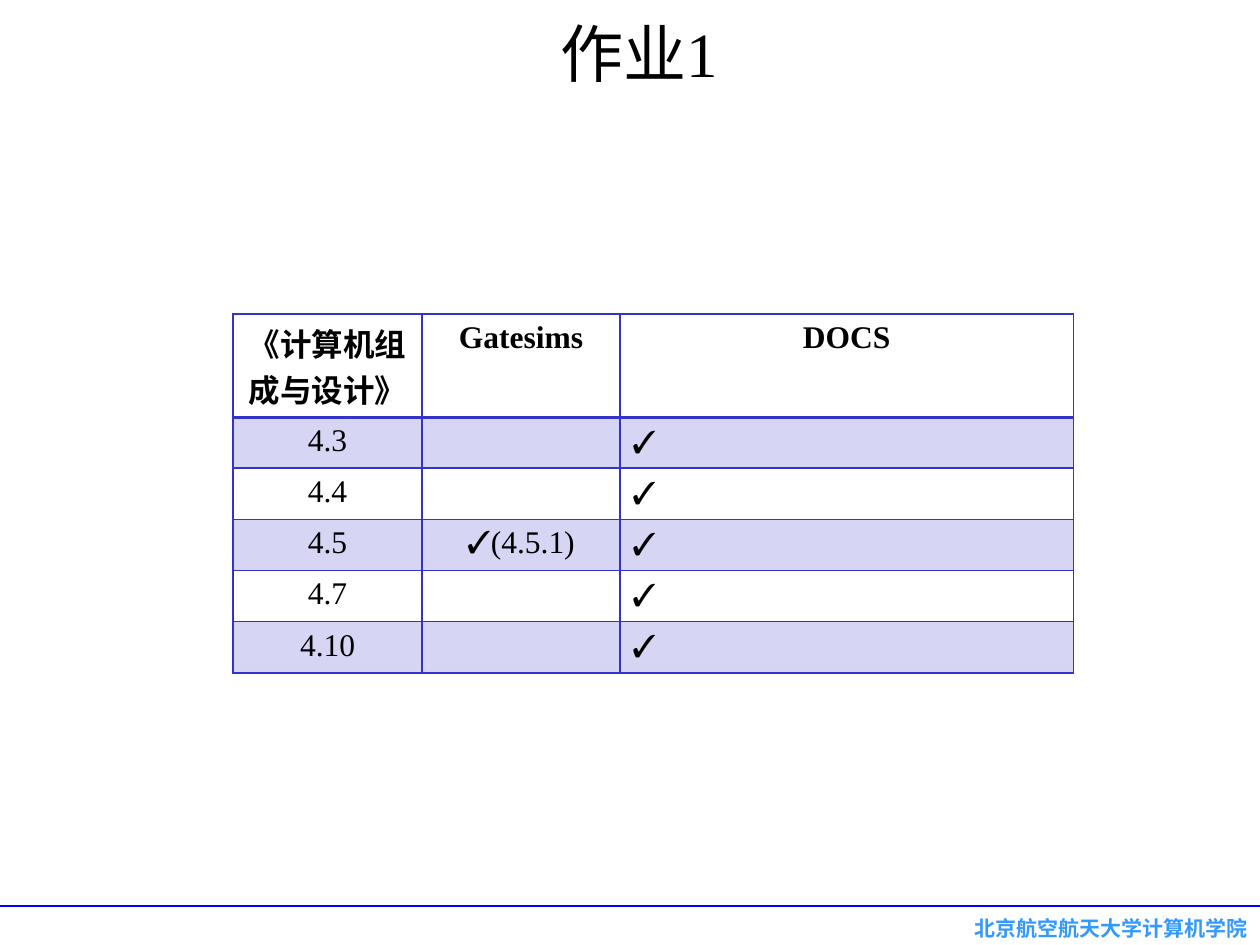
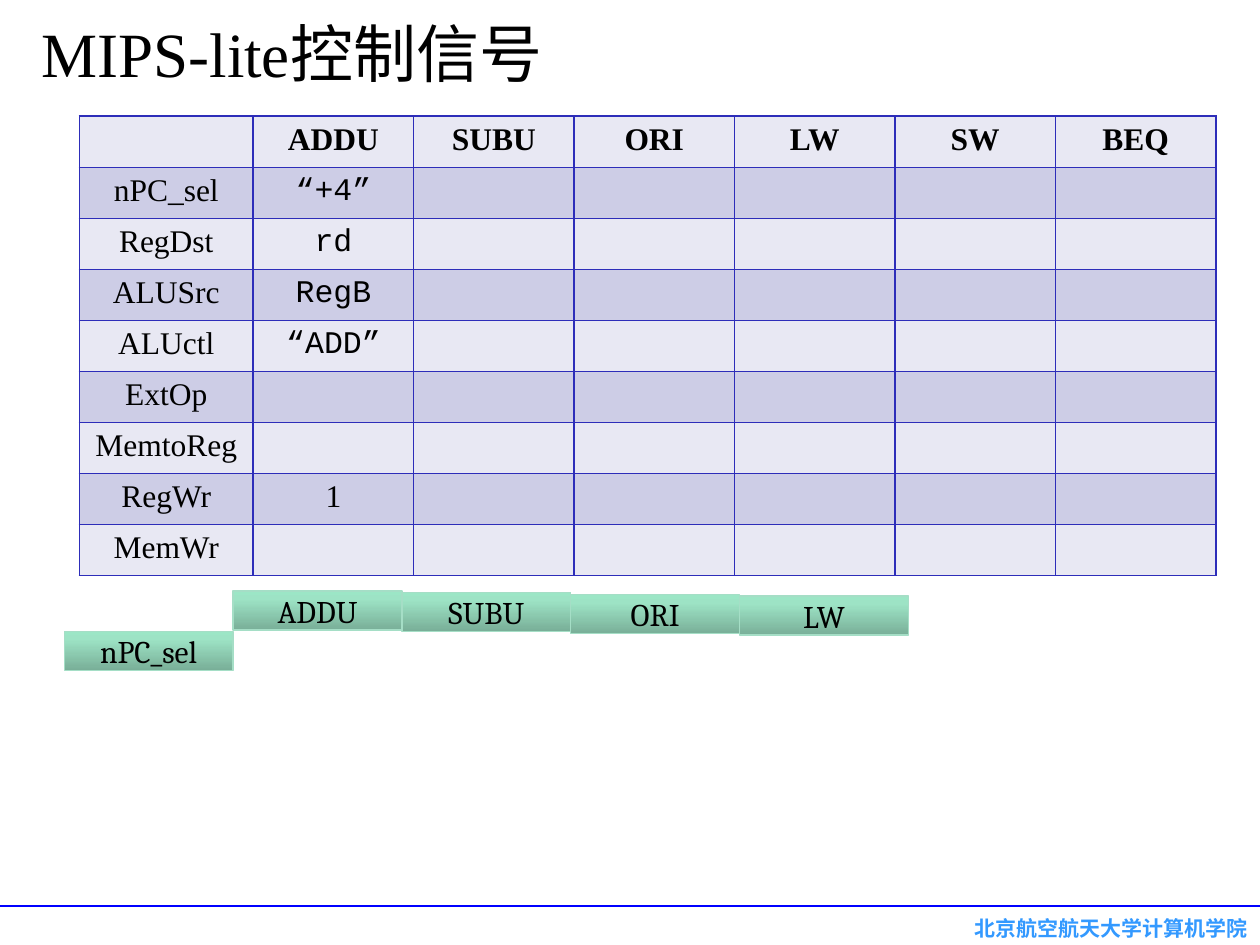
from copy import deepcopy
from dataclasses import dataclass
from typing import Optional

from lxml import etree
from pptx import Presentation
from pptx.dml.color import RGBColor
from pptx.enum.shapes import MSO_CONNECTOR, MSO_SHAPE
from pptx.enum.text import MSO_ANCHOR, PP_ALIGN
from pptx.oxml.ns import qn
from pptx.util import Inches, Pt

LEFT, CENTER, RIGHT, FULL = PP_ALIGN.LEFT, PP_ALIGN.CENTER, PP_ALIGN.RIGHT, PP_ALIGN.JUSTIFY
MIDDLE = MSO_ANCHOR.MIDDLE
RECT = MSO_SHAPE.RECTANGLE
STRAIGHT = MSO_CONNECTOR.STRAIGHT
TITLE_ONLY = 5


@dataclass(frozen=True)
class Theme:
    serif: str = "Times New Roman"
    mono: str = "Courier New"
    label: str = "Cambria"
    han: str = "Noto Sans CJK SC"
    ink: str = "000000"
    rule: str = "0000FF"
    foot: str = "3399FF"
    edge: str = "A5DEC6"
    fade: tuple = ((0, "79AF98"), (0.8, "9DE3C5"), (1, "9CE6C6"))
    head_size: int = 36
    text_size: int = 18
    foot_size: int = 12


@dataclass(frozen=True)
class Fill:
    color: str
    alpha: int = 100


@dataclass(frozen=True)
class Grid:
    left: float
    top: float
    high: float
    head_high: float
    widths: tuple
    rows: tuple
    line: str
    even: Optional[Fill]
    odd: Fill
    head_rule: int = 1
    mono: tuple = ()


@dataclass(frozen=True)
class Tag:
    text: str
    step: int
    top: float


THEME = Theme()
SCHOOL = "北京航空航天大学计算机学院"
TICK = "✓"

TASKS = Grid(
    1.85, 2.49, 2.85, 0.82, (1.5, 1.57, 3.6),
    (
        ("《计算机组成与设计》", "Gatesims", "DOCS"),
        ("4.3", "", TICK),
        ("4.4", "", TICK),
        ("4.5", "✓(4.5.1)", TICK),
        ("4.7", "", TICK),
        ("4.10", "", TICK),
    ),
    "3333CC", None, Fill("3333CC", 20), head_rule=2,
)

SIGNALS = Grid(
    0.63, 0.92, 3.65, 0.41, (1.38,) + ((9.02 - 1.38) / 6,) * 6,
    (
        ("", "ADDU", "SUBU", "ORI", "LW", "SW", "BEQ"),
        ("nPC_sel", "“+4”"),
        ("RegDst", "rd"),
        ("ALUSrc", "RegB"),
        ("ALUctl", "“ADD”"),
        ("ExtOp",),
        ("MemtoReg",),
        ("RegWr", "1"),
        ("MemWr",),
    ),
    "2D2DB9", Fill("E8E8F3"), Fill("CDCDE6"),
    mono=("“+4”", "rd", "RegB", "“ADD”"),
)

TAG_LEFT, TAG_WIDE, TAG_HIGH = 0.51, 1.34, 0.31
TAGS = (
    Tag("nPC_sel", 0, 5.01),
    Tag("ADDU", 1, 4.69),
    Tag("SUBU", 2, 4.7),
    Tag("ORI", 3, 4.72),
    Tag("LW", 4, 4.73),
)


def rgb(code: str) -> RGBColor:
    return RGBColor.from_string(code)


def write(frame, text: str, size: int, font: str, align, color: str = THEME.ink,
          bold: bool = False) -> None:
    frame.text = text
    par = frame.paragraphs[0]
    par.alignment = align
    par.font.size = Pt(size)
    for run in par.runs:
        run.font.size = Pt(size)
        run.font.name = font
        run.font.bold = bold
        run.font.color.rgb = rgb(color)
        if any(char >= "一" for char in text):
            latin = run.font._element.find(qn("a:latin"))
            east = etree.Element(qn("a:ea"), typeface=THEME.han)
            latin.addnext(east)


def add_page(deck, title: str, align):
    page = deck.slides.add_slide(deck.slide_layouts[TITLE_ONLY])
    head = page.shapes.title
    head.left, head.top = Inches(0.23), Inches(0.05)
    head.width, head.height = Inches(9.69), Inches(0.73)
    head.text_frame.vertical_anchor = MIDDLE
    write(head.text_frame, title, THEME.head_size, THEME.serif, align)

    box = page.shapes.add_textbox(Inches(4.53), Inches(7.27), Inches(5.47), Inches(0.2))
    frame = box.text_frame
    frame.word_wrap = True
    frame.margin_top = frame.margin_bottom = 0
    write(frame, SCHOOL, THEME.foot_size, THEME.han, RIGHT, THEME.foot, True)

    line = page.shapes.add_connector(
        STRAIGHT, Inches(10), Inches(7.19), Inches(0), Inches(7.19))
    line.line.color.rgb = rgb(THEME.rule)
    line.line.width = Pt(1.5)
    etree.SubElement(line._element.spPr, qn("a:effectLst"))
    return page


def add_edge(cell, side: str, color: str, width: int) -> None:
    props = cell._tc.get_or_add_tcPr()
    edge = etree.SubElement(props, qn(f"a:ln{side}"), w=str(Pt(width)))
    solid = etree.SubElement(edge, qn("a:solidFill"))
    etree.SubElement(solid, qn("a:srgbClr"), val=color)


def paint(cell, fill: Optional[Fill]) -> None:
    if fill is None:
        cell.fill.background()
        return
    cell.fill.solid()
    cell.fill.fore_color.rgb = rgb(fill.color)
    if fill.alpha < 100:
        color = cell._tc.tcPr.find(qn("a:solidFill"))[0]
        etree.SubElement(color, qn("a:alpha"), val=str(fill.alpha * 1000))


def add_grid(page, grid: Grid) -> None:
    count = len(grid.rows)
    row_high = (grid.high - grid.head_high) / (count - 1)
    table = page.shapes.add_table(
        count, len(grid.widths), Inches(grid.left), Inches(grid.top),
        Inches(sum(grid.widths)), Inches(grid.high)).table
    table.first_row = table.horz_banding = False
    for col, width in zip(table.columns, grid.widths):
        col.width = Inches(width)
    for y, texts in enumerate(grid.rows):
        table.rows[y].height = Inches(row_high if y else grid.head_high)
        for x in range(len(grid.widths)):
            cell = table.cell(y, x)
            text = texts[x] if x < len(texts) else ""
            tick = text == TICK
            font = THEME.mono if text in grid.mono else THEME.serif
            write(cell.text_frame, text, THEME.text_size, font,
                  FULL if tick else CENTER, bold=y == 0)
            if tick:
                cell.vertical_anchor = MIDDLE
            for side in "LRTB":
                heavy = (side, y) in (("B", 0), ("T", 1))
                add_edge(cell, side, grid.line, grid.head_rule if heavy else 1)
            paint(cell, grid.odd if y % 2 else grid.even)


def add_tag(page, tag: Tag) -> None:
    box = page.shapes.add_shape(
        RECT, Inches(TAG_LEFT + TAG_WIDE * tag.step), Inches(tag.top),
        Inches(TAG_WIDE), Inches(TAG_HIGH))
    box.shadow.inherit = False
    box.line.color.rgb = rgb(THEME.edge)
    box.line.width = Pt(0.75)
    box.fill.gradient()
    box.fill.gradient_angle = 90
    stops = box._element.spPr.find(qn("a:gradFill")).find(qn("a:gsLst"))
    stops.append(deepcopy(stops[-1]))
    for stop, (place, color) in zip(box.fill.gradient_stops, THEME.fade):
        stop.position = place
        stop.color.rgb = rgb(color)
    frame = box.text_frame
    frame.word_wrap = False
    frame.vertical_anchor = MIDDLE
    write(frame, tag.text, THEME.text_size, THEME.label, CENTER)


def main() -> None:
    deck = Presentation()
    deck.slide_width, deck.slide_height = Inches(10), Inches(7.5)
    add_grid(add_page(deck, "作业1", CENTER), TASKS)
    page = add_page(deck, "MIPS-lite控制信号", LEFT)
    add_grid(page, SIGNALS)
    for tag in TAGS:
        add_tag(page, tag)
    deck.save("out.pptx")


if __name__ == "__main__":
    main()
